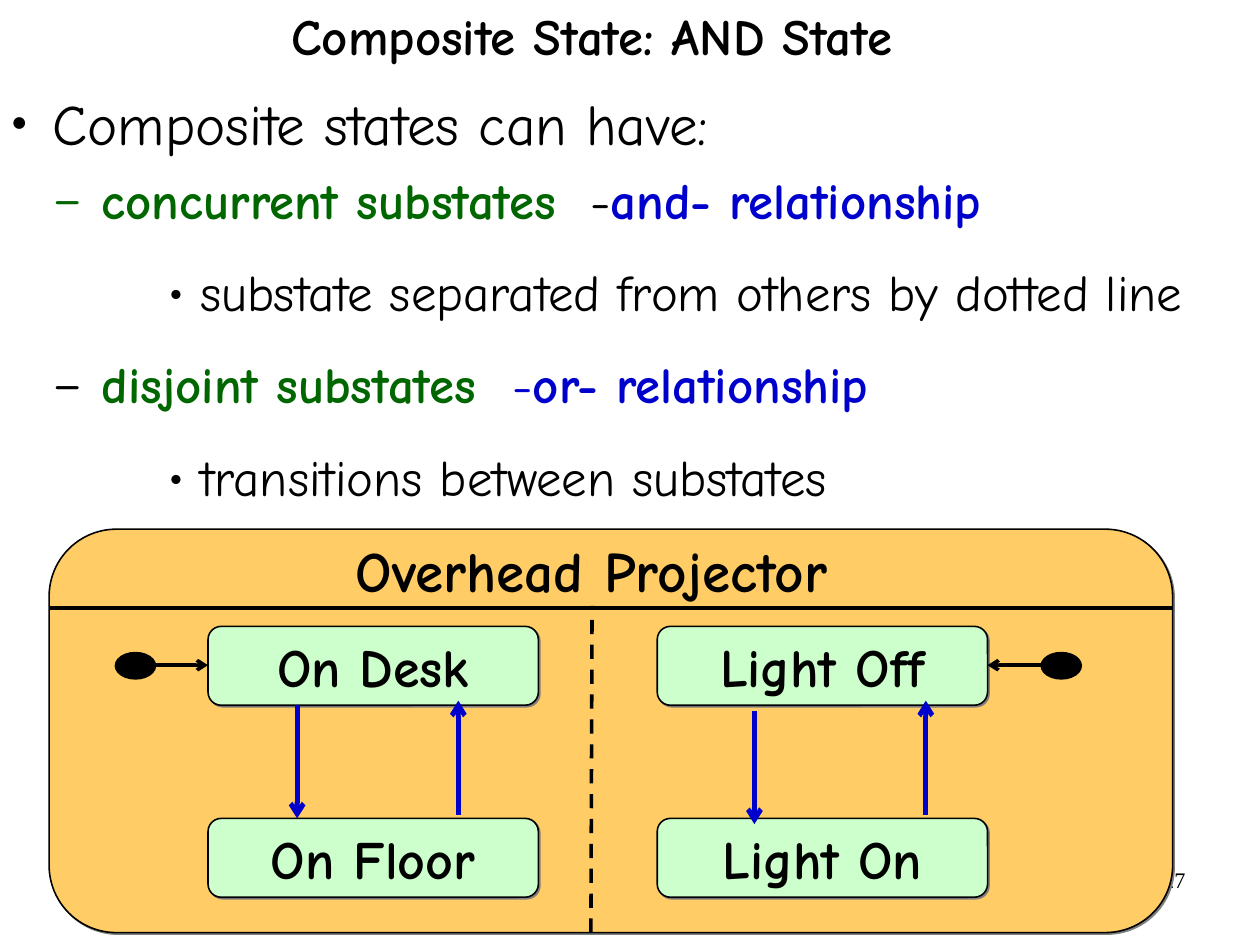
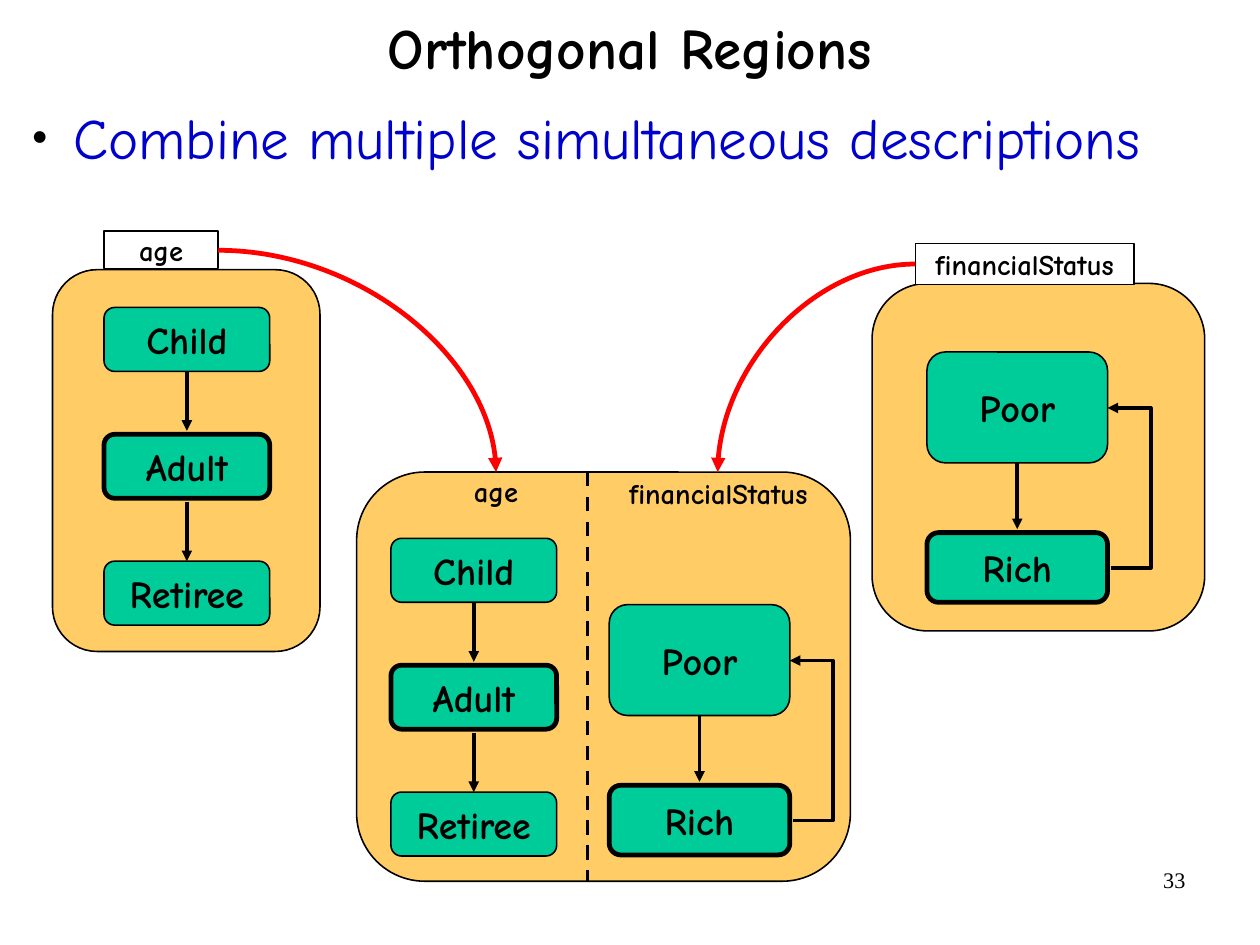
from lxml import etree
from pptx import Presentation
from pptx.dml.color import RGBColor
from pptx.enum.dml import MSO_LINE
from pptx.enum.shapes import MSO_CONNECTOR, MSO_SHAPE
from pptx.enum.text import MSO_ANCHOR, PP_ALIGN
from pptx.oxml.ns import qn
from pptx.util import Inches, Pt

BLACK = RGBColor(0x00, 0x00, 0x00)
WHITE = RGBColor(0xFF, 0xFF, 0xFF)
GRAY = RGBColor(0x80, 0x80, 0x80)
GREEN = RGBColor(0x00, 0x66, 0x00)
BLUE = RGBColor(0x00, 0x00, 0xCC)
RED = RGBColor(0xFF, 0x00, 0x00)
ORANGE = RGBColor(0xFF, 0xCC, 0x66)
MINT = RGBColor(0xCC, 0xFF, 0xCC)
TEAL = RGBColor(0x00, 0xCC, 0x99)

FONT = "Comic Neue"
NUMBER_FONT = "Times New Roman"
DASH = MSO_LINE.DASH
ROUND = MSO_SHAPE.ROUNDED_RECTANGLE
RECT = MSO_SHAPE.RECTANGLE
OVAL = MSO_SHAPE.OVAL
STRAIGHT = MSO_CONNECTOR.STRAIGHT
ELBOW = MSO_CONNECTOR.ELBOW
CURVE = MSO_CONNECTOR.CURVE
CENTER, RIGHT, LEFT = PP_ALIGN.CENTER, PP_ALIGN.RIGHT, PP_ALIGN.LEFT
MIDDLE, TOP = MSO_ANCHOR.MIDDLE, MSO_ANCHOR.TOP


def child(parent, tag, **attrs):
    """Append a DrawingML element with the given attributes."""
    e = etree.SubElement(parent, qn(tag))
    for name, value in attrs.items():
        e.set(name, str(value))
    return e


def add_run(p, text, size=32, color=BLACK, bold=False, font=FONT):
    """Append a formatted run to a paragraph."""
    r = p.add_run()
    r.text = text
    r.font.size, r.font.bold, r.font.name = Pt(size), bold, font
    r.font.color.rgb = color


def set_frame(tf, inset=(0, 0), anchor=TOP, wrap=True):
    """Set the insets, anchor and wrapping of a text frame."""
    tf.margin_left = tf.margin_right = Inches(inset[0])
    tf.margin_top = tf.margin_bottom = Inches(inset[1])
    tf.vertical_anchor, tf.word_wrap = anchor, wrap


def add_text(s, box, text, inset=(0, 0), anchor=TOP, align=CENTER, spacing=None, **fmt):
    """Add a text box holding one formatted line."""
    tf = s.shapes.add_textbox(*map(Inches, box)).text_frame
    set_frame(tf, inset, anchor)
    p = tf.paragraphs[0]
    p.alignment, p.line_spacing = align, spacing
    add_run(p, text, **fmt)


def add_label(s, box, text, size=18):
    """Add a bold centred caption inside a diagram."""
    add_text(s, box, text, (0.11, 0.06), MIDDLE, size=size, bold=True)


def add_node(s, box, fill, text="", size=24, weight=1, kind=ROUND, shadow=False):
    """Add an outlined diagram shape with an optional bold caption."""
    sp = s.shapes.add_shape(kind, *map(Inches, box))
    sp.shadow.inherit = False
    sp.fill.solid()
    sp.fill.fore_color.rgb = fill
    sp.line.color.rgb, sp.line.width = BLACK, Pt(weight)
    if shadow:
        effects = sp.element.spPr.find(qn("a:effectLst"))
        shade = child(effects, "a:outerShdw", blurRad=0, dist=Pt(1.4), dir=45 * 60000,
                      algn="ctr", rotWithShape=0)
        child(shade, "a:srgbClr", val=GRAY)
    if text:
        set_frame(sp.text_frame, (0.11, 0.06), MIDDLE, False)
        p = sp.text_frame.paragraphs[0]
        p.alignment = CENTER
        add_run(p, text, size, bold=True)


def add_link(s, begin, end, color=BLACK, weight=2.25, head=None, dash=None, kind=STRAIGHT):
    """Add a connector with an optional arrowhead at its end."""
    c = s.shapes.add_connector(kind, *map(Inches, (*begin, *end)))
    c.line.color.rgb, c.line.width = color, Pt(weight)
    if dash:
        c.line.dash_style = dash
    if head:
        child(c.element.spPr.find(qn("a:ln")), "a:tailEnd", type=head)
    child(c.element.spPr, "a:effectLst")
    return c


def add_bullet(tf, runs, char, left, hang, color=BLACK, scale=100, spacing=1.2, after=0):
    """Add a bulleted paragraph made of (text, format) runs."""
    p = tf.add_paragraph() if tf.paragraphs[0].runs else tf.paragraphs[0]
    pPr = p._p.get_or_add_pPr()
    pPr.set("marL", str(Inches(left)))
    pPr.set("indent", str(-Inches(hang)))
    child(child(pPr, "a:buClr"), "a:srgbClr", val=color)
    child(pPr, "a:buSzPct", val=scale * 1000)
    child(pPr, "a:buFont", typeface=FONT)
    child(pPr, "a:buChar", char=char)
    p.alignment, p.line_spacing, p.space_after = LEFT, spacing, Pt(after)
    for text, fmt in runs:
        add_run(p, text, **fmt)


def add_lead(tf, text, color=BLACK, **layout):
    """Add a top-level bullet."""
    add_bullet(tf, [(text, dict(size=36, color=color))], "●", 0.46, 0.35, scale=27, **layout)


def add_base(prs, number, title, box, size):
    """Add a slide with its page number and title."""
    s = prs.slides.add_slide(prs.slide_layouts[6])
    add_text(s, (7.9, 7.53, 2.57, 0.57), number, (0.1, 0.05), align=RIGHT, size=14,
             font=NUMBER_FONT)
    add_text(s, box, title, anchor=MIDDLE, spacing=0.88, size=size, bold=True)
    return s


def add_body(s, box):
    """Add the text area for bullets."""
    tf = s.shapes.add_textbox(*map(Inches, box)).text_frame
    set_frame(tf)
    return tf


def add_projector(s, x, y, w, h):
    """Draw the projector state with its two concurrent regions."""
    add_node(s, (x, y, w, h), ORANGE, shadow=True)
    add_link(s, (x + 4.74, y + h), (x + 4.75, y + 0.67), dash=DASH)
    state_w, state_h, upper, lower = 2.89, 0.69, y + 0.85, y + 2.53
    regions = [
        (x + 1.39, "On Desk", "On Floor", 0.78, 2.19, 0),
        (x + 5.32, "Light Off", "Light On", 0.85, 2.35, 0.05),
    ]
    for left, first, second, down, up, drop in regions:
        for top, name in ((upper, first), (lower, second)):
            add_node(s, (left, top, state_w, state_h), MINT, name, 34, shadow=True)
        start = upper + state_h + drop
        add_link(s, (left + down, start), (left + down, start + 0.99), BLUE, 3, "arrow")
        add_link(s, (left + up, y + 2.5), (left + up, y + 1.5), BLUE, 3, "arrow")
    add_label(s, (x + 2.17, y, 5.15, 0.71), "Overhead Projector", 36)
    mid = y + 1.19
    for center, begin, end in ((0.75, 0.92, 1.39), (8.85, 8.68, 8.21)):
        add_node(s, (x + center - 0.17, mid - 0.11, 0.35, 0.23), BLACK, kind=OVAL)
        add_link(s, (x + begin, mid), (x + end, mid), head="arrow")
    add_link(s, (x, y + 0.69), (x + w, y + 0.69), weight=3)


def add_age_states(s, x, y):
    """Draw the age states from the top left of the first one."""
    w, h, pitch, gap = 1.45, 0.56, 1.11, 0.03
    states = (("Child", False), ("Adult", True), ("Retiree", False))
    for i, (name, current) in enumerate(states):
        top = y + i * pitch
        add_node(s, (x, top, w, h), TEAL, name, weight=3 if current else 1)
        if i < len(states) - 1:
            begin = top + h + (gap if current else 0)
            end = top + pitch - (gap if states[i + 1][1] else 0)
            add_link(s, (x + w / 2, begin), (x + w / 2, end), head="triangle")


def add_wealth_states(s, x, y):
    """Draw the financial states from the top left of the first one."""
    w, gap, reach = 1.58, 0.03, 0.35
    add_node(s, (x, y, w, 0.97), TEAL, "Poor")
    add_node(s, (x, y + 1.58, w, 0.61), TEAL, "Rich", weight=3)
    add_link(s, (x + w / 2, y + 0.97), (x + w / 2, y + 1.55), head="triangle")
    c = add_link(s, (x + w + gap, y + 1.89), (x + w, y + 0.49), head="triangle", kind=ELBOW)
    guides = c.element.spPr.find(qn("a:prstGeom")).get_or_add_avLst()
    child(guides, "a:gd", name="adj1", fmla=f"val {round(-reach / gap * 100000)}")


def add_age_panel(s, x, y):
    """Draw the separate age machine with its name tab."""
    add_node(s, (x, y, 2.34, 3.34), ORANGE)
    add_age_states(s, x + 0.45, y + 0.33)
    add_node(s, (x + 0.45, y - 0.34, 1, 0.33), WHITE, "age", 18, kind=RECT)


def add_wealth_panel(s, x, y):
    """Draw the separate financial machine with its name tab."""
    add_node(s, (x, y, 2.91, 3.04), ORANGE)
    add_wealth_states(s, x + 0.48, y + 0.6)
    add_node(s, (x + 0.38, y - 0.35, 1.91, 0.36), WHITE, "financialStatus", 18, kind=RECT)


def add_combined_panel(s, x, y):
    """Draw the machine that joins both regions."""
    w, h = 4.32, 3.58
    add_node(s, (x, y, w, h), ORANGE)
    add_wealth_states(s, x + 2.21, y + 1.16)
    add_label(s, (x + 2.21, y, 1.91, 0.36), "financialStatus")
    add_age_states(s, x + 0.3, y + 0.58)
    add_label(s, (x + 0.72, y, 1, 0.33), "age")
    add_link(s, (x + 2.02, y), (x + 2.02, y + h), dash=DASH)


def add_sweep(s, begin, end):
    """Draw a red quarter-curve arrow."""
    c = add_link(s, begin, end, RED, 3, "triangle", kind=CURVE)
    c.element.spPr.find(qn("a:prstGeom")).set("prst", "curvedConnector2")


def composite_slide(prs):
    """Build the slide on composite states."""
    s = add_base(prs, "27", "Composite State: AND State", (0.48, -0.34, 9.4, 1.37), 32)
    tf = add_body(s, (0, 0.65, 11.02, 4.5))
    green, blue = dict(color=GREEN, bold=True), dict(color=BLUE, bold=True)
    kind = dict(char="–", left=0.89, hang=0.43, after=12)
    detail = dict(char="•", left=1.75, hang=0.28, after=12)
    add_lead(tf, "Composite states can have:")
    add_bullet(tf, [("concurrent substates", green), ("  -", {}), ("and- relationship", blue)],
               color=GREEN, **kind)
    add_bullet(tf, [("substate separated from others by dotted line", {})], **detail)
    add_bullet(tf, [("disjoint substates  ", green), ("-", dict(color=BLUE)),
                    ("or- relationship", blue)], **kind)
    add_bullet(tf, [("transitions between substates", {})], **detail)
    add_projector(s, 0.43, 4.63, 9.83, 3.53)


def regions_slide(prs):
    """Build the slide on orthogonal regions."""
    s = add_base(prs, "33", "Orthogonal Regions", (0.81, -0.45, 9.4, 1.8), 36)
    tf = add_body(s, (0.18, 0.97, 11.17, 6.33))
    add_lead(tf, "Combine multiple simultaneous descriptions", BLUE, spacing=0.88, after=13.8)
    add_age_panel(s, 0.46, 2.36)
    add_wealth_panel(s, 7.63, 2.48)
    add_combined_panel(s, 3.12, 4.13)
    add_sweep(s, (1.91, 2.19), (4.34, 4.13))
    add_sweep(s, (8.01, 2.31), (6.28, 4.13))


def main():
    """Build and save the presentation."""
    prs = Presentation()
    prs.slide_width = Inches(28 / 2.54)
    prs.slide_height = Inches(21 / 2.54)
    composite_slide(prs)
    regions_slide(prs)
    prs.save("out.pptx")


if __name__ == "__main__":
    main()
